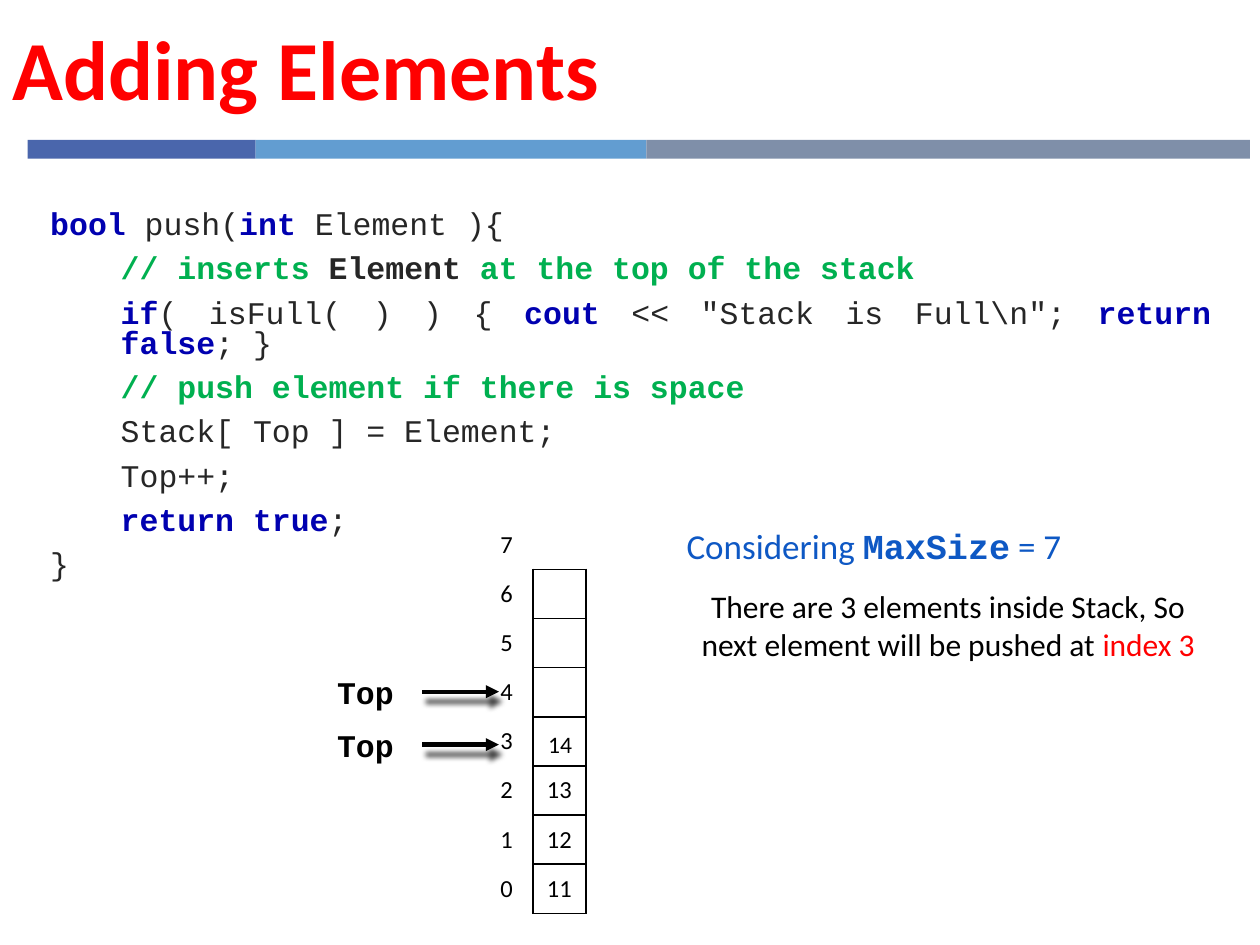
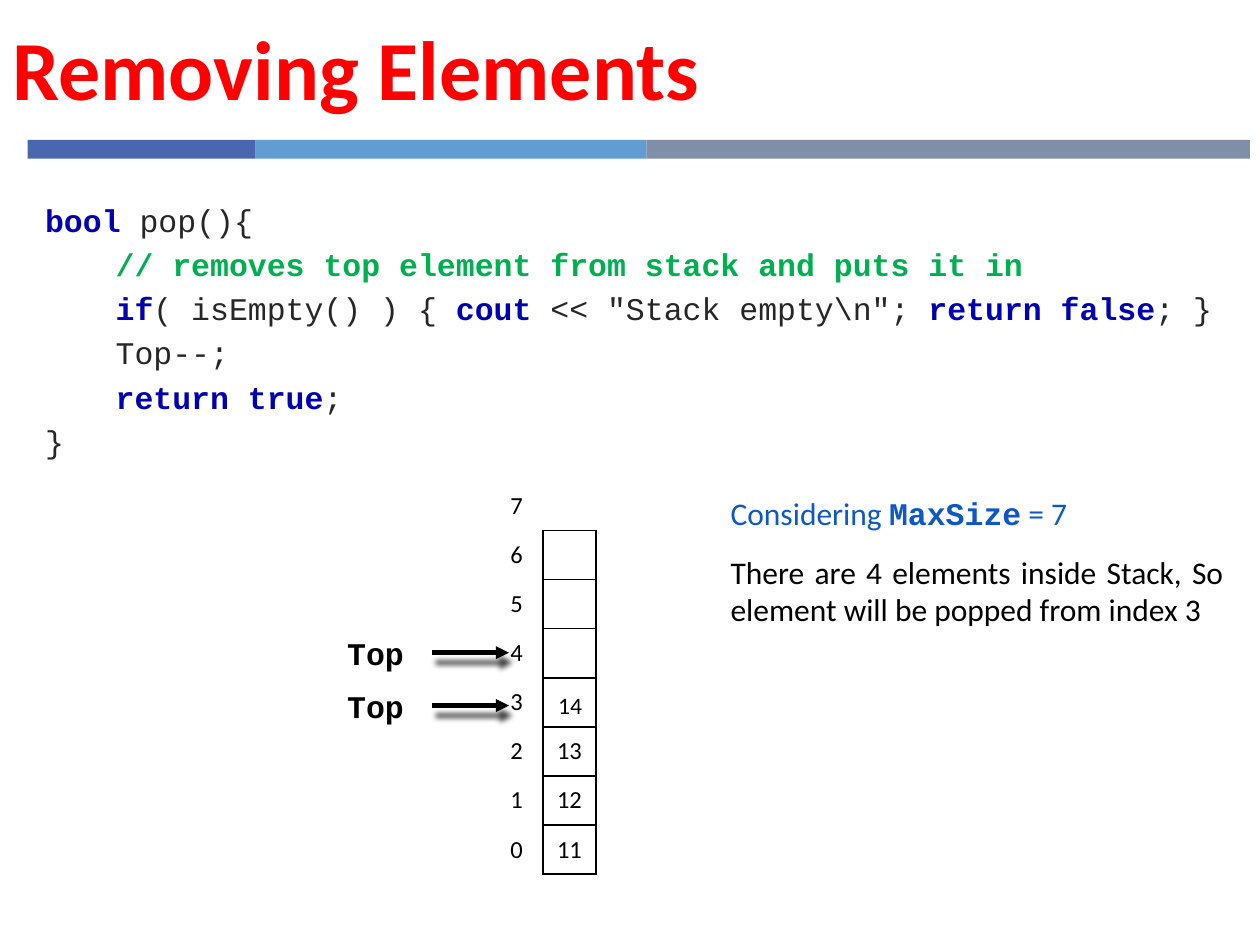
from pptx import Presentation
from pptx.dml.color import RGBColor
from pptx.enum.shapes import MSO_CONNECTOR, MSO_SHAPE
from pptx.enum.text import MSO_ANCHOR, PP_ALIGN
from pptx.oxml import parse_xml
from pptx.oxml.ns import nsdecls
from pptx.util import Inches, Pt

BLACK, RED, BLUE = "000000", "FF0000", "0E58C4"
SANS, MONO = "Calibri", "Courier New"
CODE_STYLES = {"key": ("0000B0", True), "note": ("00B050", True),
               "name": ("262626", True), "plain": ("262626", False)}
BANDS = [(1.81, "4A66AC"), (3.1, "629DD1"), (4.79, "7F8FA9")]
CELL, ROW = 0.42, 0.39
STACK = {"2": "13", "1": "12", "0": "11"}

PUSH_CODE = [
    (0, [("key", "bool"), ("plain", " push("), ("key", "int "), ("plain", "Element ){")]),
    (1, [("note", "// inserts "), ("name", "Element "), ("note", "at the top of the stack")]),
    (1, [("key", "if"), ("plain", "( isFull( ) ) { "), ("key", "cout "),
         ("plain", '<< "Stack is Full\\n"; '), ("key", "return false"), ("plain", "; }")]),
    (1, [("note", "// push element if there is space")]),
    (1, [("plain", "Stack[ Top ] = Element;")]),
    (1, [("plain", "Top++;")]),
    (1, [("key", "return true"), ("plain", ";")]),
    (0, [("plain", "}")]),
]
POP_CODE = [
    (0, [("key", "bool"), ("plain", " pop(){")]),
    (1, [("note", "// removes top element from stack and puts it in")]),
    (1, [("key", "if"), ("plain", "( isEmpty() ) { "), ("key", "cout "),
         ("plain", '<< "Stack empty\\n"; '), ("key", "return false"), ("plain", "; }")]),
    (1, [("plain", "Top--;")]),
    (1, [("key", "return true"), ("plain", ";")]),
    (0, [("plain", "}")]),
]
PUSH_NOTE = [("There are 3 elements inside Stack, So next element will be pushed at ", BLACK),
             ("index 3", RED)]
POP_NOTE = [("There are 4 elements inside Stack, So element will be popped from index 3", BLACK)]


def rgb(value):
    """Turn a hex string into a colour."""
    return RGBColor.from_string(value)


def style(font, size=None, color=None, name=None, bold=None):
    """Set the given properties of a font."""
    if size:
        font.size = Pt(size)
    if color:
        font.color.rgb = rgb(color)
    if name:
        font.name = name
    if bold is not None:
        font.bold = bold


def add_run(p, text, **font):
    """Append a styled run to a paragraph."""
    r = p.add_run()
    r.text = text
    style(r.font, **font)


def add_text(s, x, y, w, h, anchor=MSO_ANCHOR.TOP):
    """Add a wrapping text box and return its text frame."""
    tf = s.shapes.add_textbox(Inches(x), Inches(y), Inches(w), Inches(h)).text_frame
    tf.word_wrap = True
    tf.vertical_anchor = anchor
    return tf


def next_paragraph(tf, i):
    """Return the first paragraph or a new one."""
    return tf.add_paragraph() if i else tf.paragraphs[0]


def add_rect(s, x, y, w, h, color):
    """Add a flat rectangle without outline."""
    sp = s.shapes.add_shape(MSO_SHAPE.RECTANGLE, Inches(x), Inches(y), Inches(w), Inches(h))
    sp.shadow.inherit = False
    sp.fill.solid()
    sp.fill.fore_color.rgb = rgb(color)
    sp.line.fill.background()
    return sp


def add_header(s, title):
    """Add the title and the three-part band below it."""
    x = 0.22
    for w, color in BANDS:
        add_rect(s, x, 1.11, w, 0.15, color)
        x += w
    p = add_text(s, 0, 0.08, 7.9, 1).paragraphs[0]
    p.space_before = Pt(20)
    p.text = title
    style(p.font, 48, RED, SANS, True)


def add_code(s, box, lines):
    """Add a code listing with indented lines."""
    tf = add_text(s, *box)
    for i, (level, parts) in enumerate(lines):
        p = next_paragraph(tf, i)
        p.alignment = PP_ALIGN.JUSTIFY
        p.line_spacing = 0.8
        p.space_before = p.space_after = Pt(4)
        p._p.get_or_add_pPr().set("marL", str(Inches(0.56 * level)))
        style(p.font, 18, name=MONO)
        for kind, text in parts:
            color, bold = CODE_STYLES[kind]
            add_run(p, text, color=color, bold=bold)


def set_borders(cell, sides):
    """Draw one-point black borders on the given sides of a cell."""
    tcPr = cell._tc.get_or_add_tcPr()
    for side in "LRTB":
        fill = '<a:solidFill><a:srgbClr val="000000"/></a:solidFill>' if side in sides else "<a:noFill/>"
        tcPr.append(parse_xml(f'<a:ln{side} {nsdecls("a")} w="12700">{fill}</a:ln{side}>'))


def add_top_marker(s, x, y):
    """Add the Top label and its arrow."""
    sp = add_rect(s, x, y, 0.88, 0.32, "FFFFFF")
    tf = sp.text_frame
    tf.vertical_anchor = MSO_ANCHOR.MIDDLE
    p = tf.paragraphs[0]
    p.text = "Top"
    p.alignment = PP_ALIGN.CENTER
    style(p.font, 18, BLACK, MONO, True)
    mid = Inches(y + 0.16)
    arrow = s.shapes.add_connector(MSO_CONNECTOR.STRAIGHT, Inches(x + 0.89), mid, Inches(x + 1.5), mid)
    arrow.line.width = Pt(2.5)
    arrow.line.color.rgb = rgb(BLACK)
    arrow.line._get_or_add_ln().append(parse_xml(f'<a:tailEnd {nsdecls("a")} type="triangle"/>'))
    arrow._element.spPr.append(parse_xml(
        f'<a:effectLst {nsdecls("a")}><a:outerShdw blurRad="{Pt(3)}" dist="{Pt(6)}" dir="4200000" '
        'rotWithShape="0"><a:srgbClr val="000000"><a:alpha val="75000"/></a:srgbClr>'
        '</a:outerShdw></a:effectLst>'))


def add_stack(s, x, y):
    """Add the indexed stack, the value 14 and both Top markers."""
    table = s.shapes.add_table(8, 2, Inches(x), Inches(y), Inches(2 * CELL), Inches(8 * ROW)).table
    table.first_row = table.horz_banding = False
    for column in table.columns:
        column.width = Inches(CELL)
    for i, row in enumerate(table.rows):
        row.height = Inches(ROW)
        index = str(7 - i)
        borders = ("R", "LRTB") if i else ("", "B")
        for cell, text, sides in zip(row.cells, (index, STACK.get(index, "")), borders):
            set_borders(cell, sides)
            cell.fill.background()
            cell.vertical_anchor = MSO_ANCHOR.MIDDLE
            cell.margin_left = cell.margin_right = Inches(0.07)
            cell.margin_top = cell.margin_bottom = Inches(0.04)
            p = cell.text_frame.paragraphs[0]
            p.text = text
            p.alignment = PP_ALIGN.CENTER
            style(p.font, 14, BLACK, SANS)
    p = add_text(s, x + 0.43, y + 1.58, 0.41, 0.39, MSO_ANCHOR.MIDDLE).paragraphs[0]
    p.text = "14"
    p.alignment = PP_ALIGN.CENTER
    style(p.font, 13.5, BLACK, SANS)
    for dy in (1.2, 1.62):
        add_top_marker(s, x - 1.35, y + dy)


def add_note(s, box, size, parts, align):
    """Add the MaxSize remark and the explanation under it."""
    tf = add_text(s, *box)
    p = tf.paragraphs[0]
    p.alignment = PP_ALIGN.JUSTIFY
    p.space_after = Pt(12)
    style(p.font, size, BLUE)
    add_run(p, "Considering ", name=SANS)
    add_run(p, "MaxSize", name=MONO, bold=True)
    add_run(p, " = 7", name=SANS)
    p = tf.add_paragraph()
    p.alignment = align
    p.space_after = Pt(12)
    style(p.font, 18, name=SANS)
    for text, color in parts:
        add_run(p, text, color=color)


def main():
    """Build both slides and save them."""
    prs = Presentation()
    prs.slide_width, prs.slide_height = Inches(10), Inches(7.5)
    slides = [
        ("Adding Elements", (0.3, 1.63, 9.41, 2.7), PUSH_CODE, (3.81, 4.13),
         ((5.35, 4.11, 4.35, 1.21), 20, PUSH_NOTE, PP_ALIGN.CENTER)),
        ("Removing Elements", (0.26, 1.6, 9.74, 2.05), POP_CODE, (3.89, 3.82),
         ((5.7, 3.87, 4.11, 1.18), 18, POP_NOTE, PP_ALIGN.JUSTIFY)),
    ]
    for title, code_box, code, stack_at, note in slides:
        s = prs.slides.add_slide(prs.slide_layouts[6])
        add_header(s, title)
        add_code(s, code_box, code)
        add_stack(s, *stack_at)
        add_note(s, *note)
    prs.save("out.pptx")


if __name__ == "__main__":
    main()
